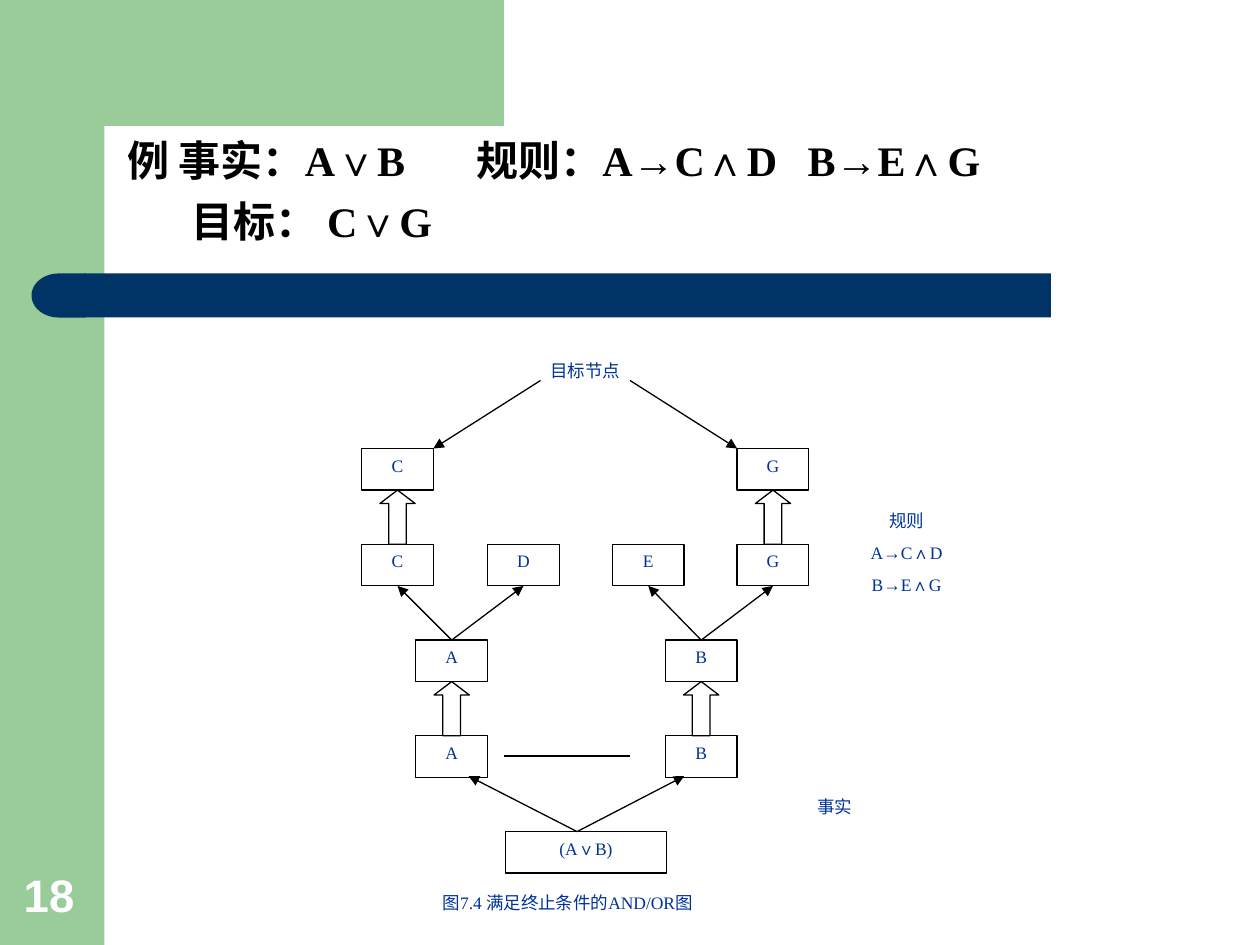
from dataclasses import dataclass
from math import cos, pi, sin

from lxml.etree import SubElement
from pptx import Presentation
from pptx.dml.color import RGBColor
from pptx.enum.shapes import MSO_CONNECTOR as Connector, MSO_SHAPE as Shape
from pptx.enum.text import MSO_ANCHOR as Anchor, MSO_AUTO_SIZE as AutoSize, PP_ALIGN as Align
from pptx.oxml.ns import qn
from pptx.util import Inches, Pt


@dataclass(frozen=True)
class Theme:
    green: RGBColor = RGBColor(0x99, 0xCC, 0x99)
    navy: RGBColor = RGBColor(0x00, 0x33, 0x66)
    blue: RGBColor = RGBColor(0x00, 0x33, 0x99)
    black: RGBColor = RGBColor(0, 0, 0)
    white: RGBColor = RGBColor(255, 255, 255)
    serif: str = "Times New Roman"
    sans: str = "Arial"
    title_size: Pt = Pt(24)
    title_pitch: Pt = Pt(35)
    number_size: Pt = Pt(26)
    label_size: Pt = Pt(10)
    label_gap: Pt = Pt(6.2)
    line_width: Pt = Pt(0.75)


TOP, BOTTOM = 0, 2  # connection sites of a rectangle


class SlideBuilder:
    def __init__(self, slide, theme):
        self.slide = slide
        self.shapes = slide.shapes
        self.theme = theme

    def paint(self, shape, fill=None, outlined=False):
        shape.shadow.inherit = False
        if fill is None:
            shape.fill.background()
        else:
            shape.fill.solid()
            shape.fill.fore_color.rgb = fill
        if outlined:
            self.draw_outline(shape)
        else:
            shape.line.fill.background()
        return shape

    def draw_outline(self, shape):
        shape.line.color.rgb = self.theme.black
        shape.line.width = self.theme.line_width

    def preset(self, kind, box, fill, outlined=False):
        shape = self.shapes.add_shape(kind, *map(Inches, box))
        return self.paint(shape, fill, outlined)

    def outline(self, points, closed, fill=None, outlined=False):
        builder = self.shapes.build_freeform(*points[0], scale=Inches(1))
        builder.add_line_segments(points[1:], close=closed)
        return self.paint(builder.convert_to_shape(), fill, outlined)

    def format_font(self, paragraph, face, size, color, bold=False):
        font = paragraph.font
        font.name, font.size, font.bold = face, size, bold
        font.color.rgb = color

    def label(self, lines, box, outlined=False):
        """White box with centred lines of diagram text."""
        shape = self.preset(Shape.RECTANGLE, box, self.theme.white, outlined)
        frame = shape.text_frame
        frame.word_wrap = True
        frame.vertical_anchor = Anchor.TOP
        for index, line in enumerate(lines):
            paragraph = frame.paragraphs[0] if index == 0 else frame.add_paragraph()
            paragraph.text = line
            paragraph.alignment = Align.CENTER
            paragraph.space_before = self.theme.label_gap
            self.format_font(paragraph, self.theme.serif, self.theme.label_size, self.theme.blue)
        return shape

    def arrow(self, start=(0, 0), end=(0, 0), joined=None):
        """Thin arrow between two points, or from one box's top to another's bottom."""
        connector = self.shapes.add_connector(
            Connector.STRAIGHT, *map(Inches, (*start, *end)))
        if joined:
            lower, upper = joined
            connector.begin_connect(lower, TOP)
            connector.end_connect(upper, BOTTOM)
        self.draw_outline(connector)
        properties = connector.line._get_or_add_ln()
        SubElement(properties, qn("a:tailEnd"), type="triangle")
        SubElement(properties.getparent(), qn("a:effectLst"))

    def block_arrow(self, left, top):
        shape = self.preset(Shape.UP_ARROW, (left, top, 0.28, 0.43), self.theme.white, True)
        shape.adjustments[0], shape.adjustments[1] = 0.5, 0.38

    def title(self, lines, box, tab_stops):
        title = self.shapes.title
        title.left, title.top, title.width, title.height = map(Inches, box)
        frame = title.text_frame
        frame.word_wrap = True
        frame.auto_size = AutoSize.NONE
        frame.vertical_anchor = Anchor.BOTTOM
        paragraph = frame.paragraphs[0]
        paragraph.text = "\v".join(lines)
        paragraph.alignment = Align.LEFT
        paragraph.line_spacing = self.theme.title_pitch
        tabs = SubElement(paragraph._p.get_or_add_pPr(), qn("a:tabLst"))
        for stop in tab_stops:
            SubElement(tabs, qn("a:tab"), pos=str(Inches(stop)), algn="l")
        self.format_font(paragraph, self.theme.serif, self.theme.title_size,
                         self.theme.black, bold=True)

    def page_number(self, number, box):
        frame = self.shapes.add_textbox(*map(Inches, box)).text_frame
        frame.word_wrap = True
        frame.vertical_anchor = Anchor.BOTTOM
        paragraph = frame.paragraphs[0]
        paragraph.text = number
        self.format_font(paragraph, self.theme.sans, self.theme.number_size,
                         self.theme.white, bold=True)


def add_frame(builder):
    theme = builder.theme
    builder.preset(Shape.RECTANGLE, (0, 0, 0.83, 7.5), theme.green)
    center, radius, steps = 1.16, 0.33, 16
    angles = [pi / 2 * step / steps for step in range(steps + 1)]
    corner = [(center - radius * sin(a), center - radius * cos(a)) for a in angles]
    builder.outline([(0.5, 0), (3.5, 0), (3.5, 0.83), *corner, (0.83, 1.28), (0.5, 1.28)],
                    closed=True, fill=theme.green)
    builder.preset(Shape.RECTANGLE, (0.67, 2.17, 7.67, 0.35), theme.navy)
    bar_cap = builder.preset(Shape.FLOWCHART_DELAY, (0.25, 2.17, 0.43, 0.35), theme.navy)
    bar_cap.rotation = 180


def add_graph(builder):
    width, height, pitch = 0.57, 0.33, 0.76
    goal_row, leaf_row, rule_row, fact_row = (3.56 + pitch * row for row in range(4))
    columns = {"C": 2.87, "D": 3.87, "E": 4.86, "G": 5.85, "A": 3.3, "B": 5.28}

    def node(name, top):
        return builder.label([name], (columns[name], top, width, height), outlined=True)

    leaves = {name: node(name, leaf_row) for name in "CDEG"}
    for name, top in (("C", goal_row), ("G", goal_row), ("A", fact_row), ("B", fact_row)):
        node(name, top)
        arrow_top = (goal_row if top == goal_row else rule_row) + height
        builder.block_arrow(columns[name] + (width - 0.28) / 2, arrow_top)
    for name, results in (("A", "CD"), ("B", "EG")):
        premise = node(name, rule_row)
        for result in results:
            builder.arrow(joined=(premise, leaves[result]))

    builder.label(["(A∨B)"], (4.01, 6.6, 1.28, height), outlined=True)
    builder.label(["目标节点"], (4.15, 2.81, 0.99, 0.32))
    builder.label(["规则", "A→C∧D", "B→E∧G"], (6.7, 4, 0.99, 0.76))
    builder.label(["事实"], (6.13, 6.27, 0.99, 0.32))
    builder.label(["图7.4 满足终止条件的AND/OR图"], (2.59, 7.03, 3.83, 0.32))

    for start, end in (((4.29, 3.02), (3.44, goal_row)), ((5, 3.02), (5.85, goal_row)),
                       ((4.58, 6.6), (3.72, 6.16)), ((4.58, 6.6), (5.43, 6.16))):
        builder.arrow(start, end)
    builder.outline(and_arc(), closed=False, outlined=True)


def and_arc(steps=20):
    """Points of the cubic curve that ties the two lower arrows together."""
    controls = ((4.77, 6.49), (4.65, 6.38), (4.47, 6.38), (4.4, 6.48))

    def blend(values, t):
        return sum(weight * value * (1 - t) ** (3 - power) * t ** power
                   for power, (weight, value) in enumerate(zip((1, 3, 3, 1), values)))

    return [tuple(blend(axis, step / steps) for axis in zip(*controls))
            for step in range(steps + 1)]


def main():
    presentation = Presentation()
    presentation.slide_width, presentation.slide_height = Inches(10), Inches(7.5)
    slide = presentation.slides.add_slide(presentation.slide_layouts[5])
    builder = SlideBuilder(slide, Theme())
    add_frame(builder)
    builder.page_number("18", (0.09, 6.83, 0.64, 0.53))
    builder.title(["例 事实：A∨B\t规则：A→C∧D\tB→E∧G", "\t目标： C∨G"],
                  (0.91, 0.91, 8.51, 1.09), tab_stops=(0.51, 2.77, 5.4))
    add_graph(builder)
    presentation.save("out.pptx")


if __name__ == "__main__":
    main()
